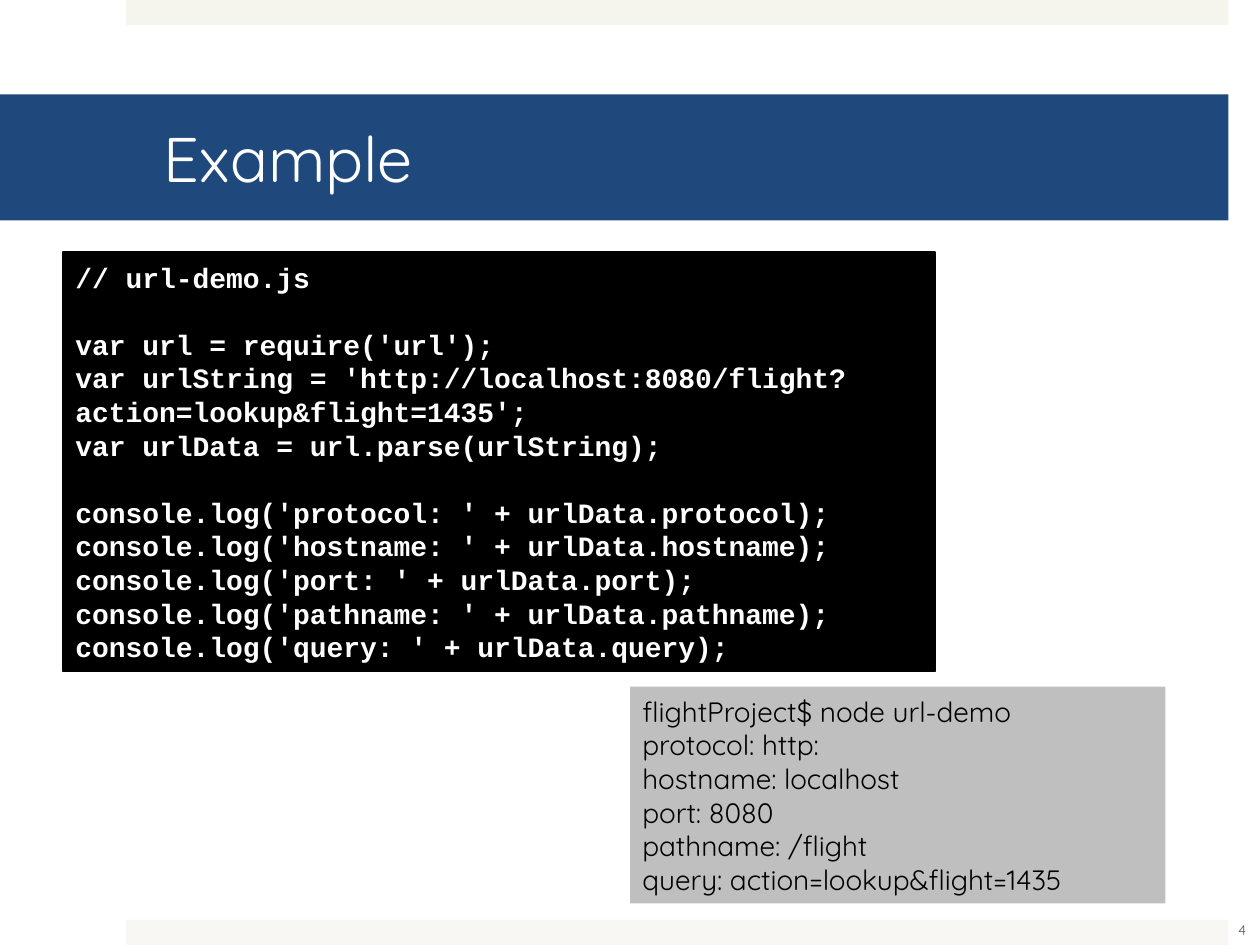
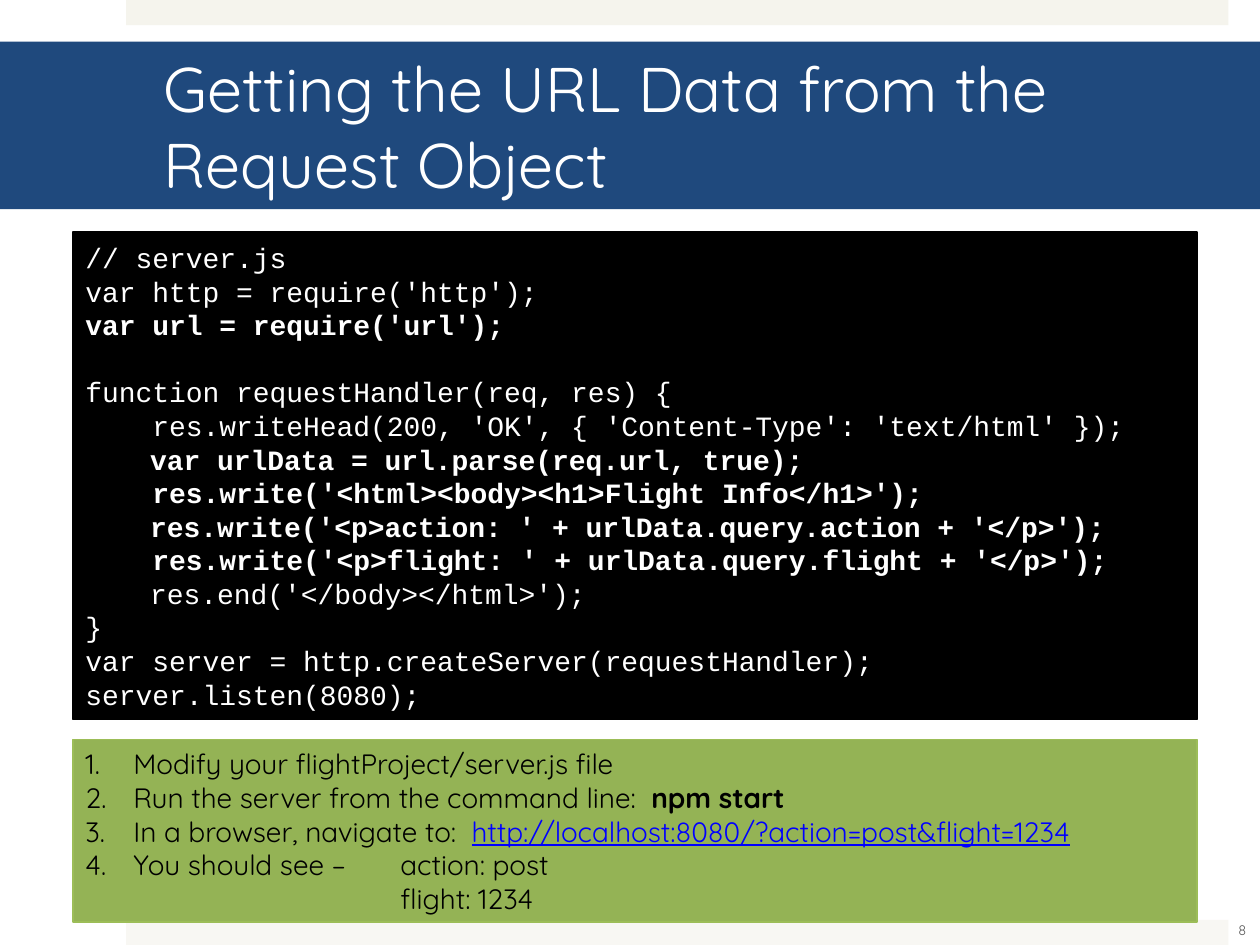
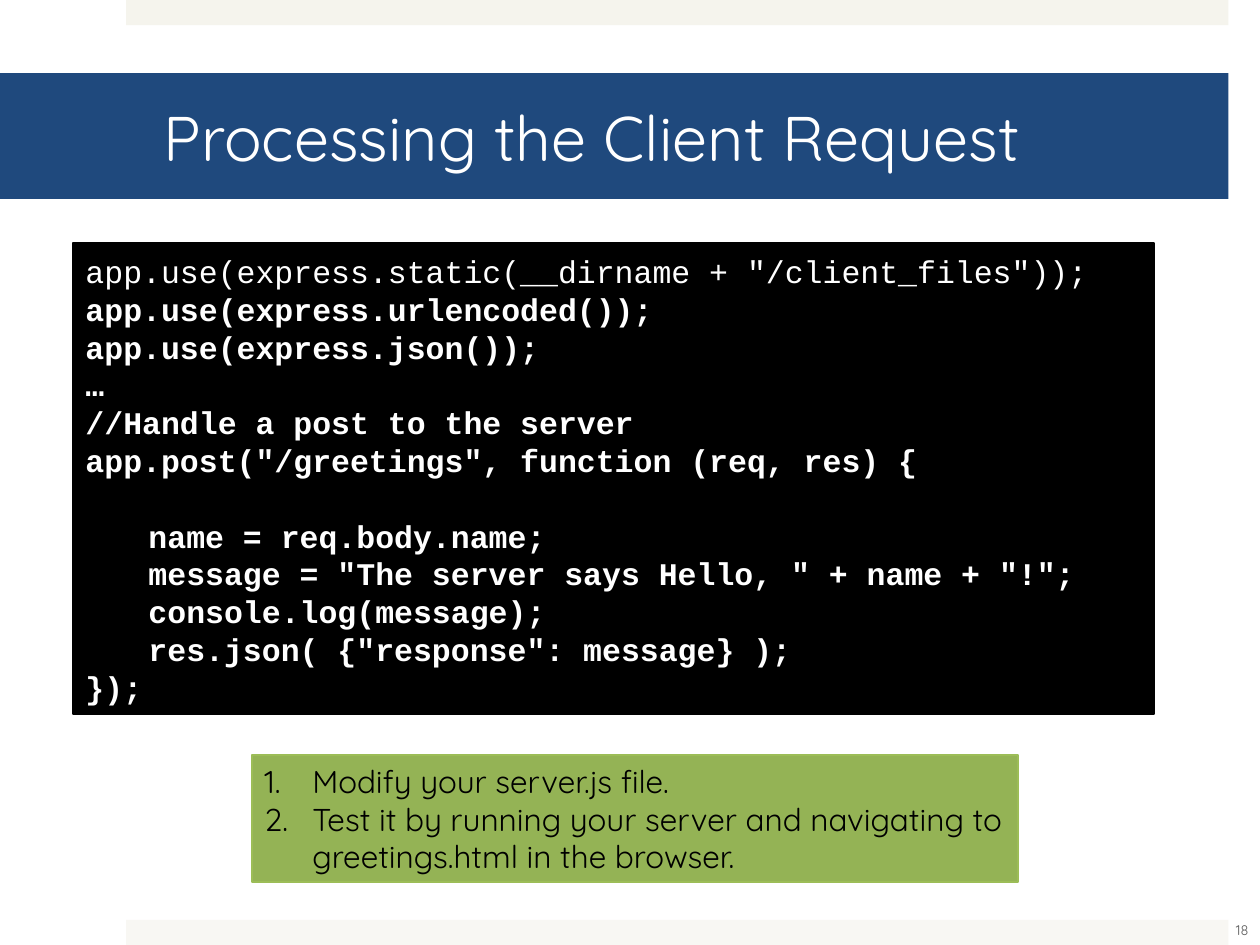
from lxml.etree import SubElement
from pptx import Presentation
from pptx.dml.color import RGBColor
from pptx.enum.shapes import MSO_SHAPE
from pptx.enum.text import MSO_ANCHOR, PP_ALIGN
from pptx.oxml.ns import qn
from pptx.util import Inches, Pt

# Shared look
WHITE = RGBColor(0xFF, 0xFF, 0xFF)
BLACK = RGBColor(0, 0, 0)
NAVY = RGBColor(0x1F, 0x49, 0x7D)
TOP_BAND = RGBColor(0xF5, 0xF4, 0xED)
BOTTOM_BAND = RGBColor(0xF8, 0xF7, 0xF3)
GREY = RGBColor(0xBF, 0xBF, 0xBF)
GREEN = RGBColor(0x94, 0xB3, 0x55)
GREEN_EDGE = RGBColor(0x9C, 0xBD, 0x57)
NUMBER_GREY = RGBColor(0x59, 0x59, 0x59)
LINK_BLUE = RGBColor(0, 0, 0xFF)
BODY_FONT = "Quicksand"
CODE_FONT = "Courier New"
LINE_HEIGHT = 1.2
STEP_INDENT = 0.38


def add_panel(page, place, fill, edge=None):
    box = page.shapes.add_shape(MSO_SHAPE.RECTANGLE, *[Inches(n) for n in place])
    box.shadow.inherit = False
    box.fill.solid()
    box.fill.fore_color.rgb = fill
    if edge is None:
        box.line.fill.background()
    else:
        box.line.color.rgb = edge
        box.line.width = Pt(1)
    box.text_frame.word_wrap = True
    box.text_frame.vertical_anchor = MSO_ANCHOR.MIDDLE
    return box


def write_lines(box, lines, size, color, font=BODY_FONT, tabs=(), numbered=0):
    """Each line is a list of (text, style); style holds "b" bold, "u" link.
    An empty line becomes space before the next one; the first
    `numbered` lines are numbered steps."""
    frame = box.text_frame
    para = None
    gap = 0
    for index, line in enumerate(lines):
        if not line:
            gap += size * LINE_HEIGHT
            continue
        para = frame.paragraphs[0] if para is None else frame.add_paragraph()
        props = para._p.get_or_add_pPr()
        if index < numbered:
            props.set("marL", str(Inches(STEP_INDENT)))
            props.set("indent", str(-Inches(STEP_INDENT)))
            SubElement(props, qn("a:buFont"), typeface="+mj-lt")
            SubElement(props, qn("a:buAutoNum"), type="arabicPeriod")
        if tabs:
            stops = SubElement(props, qn("a:tabLst"))
            for stop in tabs:
                SubElement(stops, qn("a:tab"), pos=str(Inches(stop)), algn="l")
        para.alignment = PP_ALIGN.LEFT
        para.line_spacing = Pt(size * LINE_HEIGHT)
        if gap:
            para.space_before = Pt(gap)
            gap = 0
        for text, style in line:
            span = para.add_run()
            span.text = text
            span.font.name = font
            span.font.size = Pt(size)
            span.font.bold = "b" in style
            span.font.underline = "u" in style
            span.font.color.rgb = LINK_BLUE if "u" in style else color


# Slide content: code lines carry their bold state
url_code = [
    ("// url-demo.js", "b"),
    ("", ""),
    ("var url = require('url');", "b"),
    ("var urlString = 'http://localhost:8080/flight?action=lookup&flight=1435';", "b"),
    ("var urlData = url.parse(urlString);", "b"),
    ("", ""),
    ("console.log('protocol: ' + urlData.protocol);", "b"),
    ("console.log('hostname: ' + urlData.hostname);", "b"),
    ("console.log('port: ' + urlData.port);", "b"),
    ("console.log('pathname: ' + urlData.pathname);", "b"),
    ("console.log('query: ' + urlData.query);", "b"),
]
url_output = [
    [("flightProject$ node url-demo", "")],
    [("protocol: http:", "")],
    [("hostname: localhost", "")],
    [("port: 8080", "")],
    [("pathname: /flight", "")],
    [("query: action=lookup&flight=1435", "")],
]
server_code = [
    ("// server.js", ""),
    ("var http = require('http');", ""),
    ("var url = require('url');", "b"),
    ("", ""),
    ("function requestHandler(req, res) {", ""),
    ("    res.writeHead(200, 'OK', { 'Content-Type': 'text/html' });", ""),
    ("\t var urlData = url.parse(req.url, true);", "b"),
    ("    res.write('<html><body><h1>Flight Info</h1>');", "b"),
    ("\t res.write('<p>action: ' + urlData.query.action + '</p>');", "b"),
    ("    res.write('<p>flight: ' + urlData.query.flight + '</p>');", "b"),
    ("\t res.end('</body></html>');", ""),
    ("}", ""),
    ("var server = http.createServer(requestHandler);", ""),
    ("server.listen(8080);", ""),
]
server_steps = [
    [("Modify your flightProject/server.js file", "")],
    [("Run the server from the command line:  ", ""), ("npm start", "b")],
    [("In a browser, navigate to:  ", ""),
     ("http://localhost:8080/?action=post&flight=1234", "u")],
    [("You should see – \taction: post", "")],
    [("\tflight: 1234", "")],
]
post_code = [
    ('app.use(express.static(__dirname + "/client_files"));', ""),
    ("app.use(express.urlencoded());", "b"),
    ("app.use(express.json());", "b"),
    ("…", "b"),
    ("//Handle a post to the server", "b"),
    ('app.post("/greetings", function (req, res) {', "b"),
    ("", ""),
    ("  \tname = req.body.name;", "b"),
    ('  \tmessage = "The server says Hello, " + name + "!";', "b"),
    ("  \tconsole.log(message);", "b"),
    ('\tres.json( {"response": message} );', "b"),
    ("});", "b"),
]
post_steps = [
    [("Modify your server.js file.", "")],
    [("Test it by running your server and navigating to "
      "greetings.html in the browser.", "")],
]

slides = [
    dict(title="Example", title_place=(0, 0.75, 9.75, 1), number="4", size=16,
         code=url_code, code_place=(0.5, 2, 6.92, 3.33), code_tabs=(0.38, 0.75),
         note=url_output, note_place=(5, 5.45, 4.25, 1.72),
         note_fill=GREY, note_edge=None, note_tabs=(), steps=0),
    dict(title="Getting the URL Data from the Request Object",
         title_place=(0, 0.33, 10, 1.33), number="8", size=16,
         code=server_code, code_place=(0.58, 1.84, 8.92, 3.87), code_tabs=(0.38, 0.75),
         note=server_steps, note_place=(0.58, 5.87, 8.92, 1.45),
         note_fill=GREEN, note_edge=GREEN_EDGE, note_tabs=(2.5,), steps=4),
    dict(title="Processing the Client Request",
         title_place=(0, 0.58, 9.75, 1), number="18", size=18,
         code=post_code, code_place=(0.58, 1.93, 8.58, 3.74), code_tabs=(0.5,),
         note=post_steps, note_place=(2, 5.99, 6.08, 1.01),
         note_fill=GREEN, note_edge=GREEN_EDGE, note_tabs=(), steps=2),
]

deck = Presentation()
deck.slide_width = Inches(10)
deck.slide_height = Inches(7.5)

for content in slides:
    page = deck.slides.add_slide(deck.slide_layouts[6])

    # Edge bands
    add_panel(page, (1, 0, 8.75, 0.2), TOP_BAND)
    add_panel(page, (1, 7.3, 8.75, 0.2), BOTTOM_BAND)

    # Title bar
    title = add_panel(page, content["title_place"], NAVY)
    title.text_frame.margin_left = Inches(1.3)
    title.text_frame.margin_right = Inches(0.3)
    write_lines(title, [[(content["title"], "")]], 36, WHITE)

    # Slide number
    number = page.shapes.add_textbox(Inches(9.61), Inches(7.18), Inches(0.5), Inches(0.4))
    number.text_frame.word_wrap = True
    number.text_frame.vertical_anchor = MSO_ANCHOR.MIDDLE
    write_lines(number, [[(content["number"], "")]], 8, NUMBER_GREY)
    number.text_frame.paragraphs[0].alignment = PP_ALIGN.CENTER

    # Code listing
    listing = add_panel(page, content["code_place"], BLACK, BLACK)
    code_lines = [[(text, style)] if text else [] for text, style in content["code"]]
    write_lines(listing, code_lines, content["size"], WHITE, CODE_FONT, content["code_tabs"])

    # Program output or steps
    note = add_panel(page, content["note_place"], content["note_fill"], content["note_edge"])
    write_lines(note, content["note"], content["size"], BLACK,
                tabs=content["note_tabs"], numbered=content["steps"])

deck.save("out.pptx")
